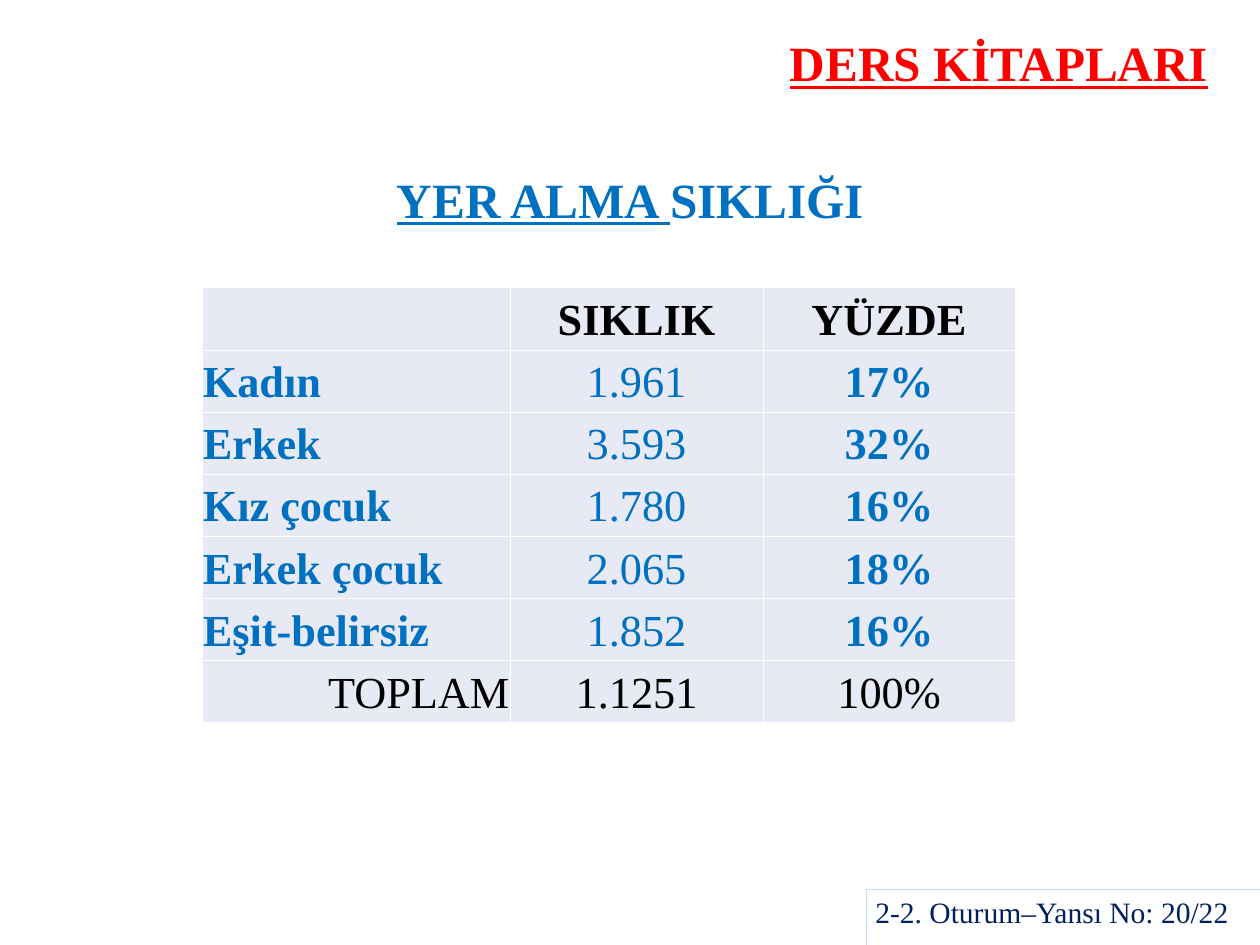
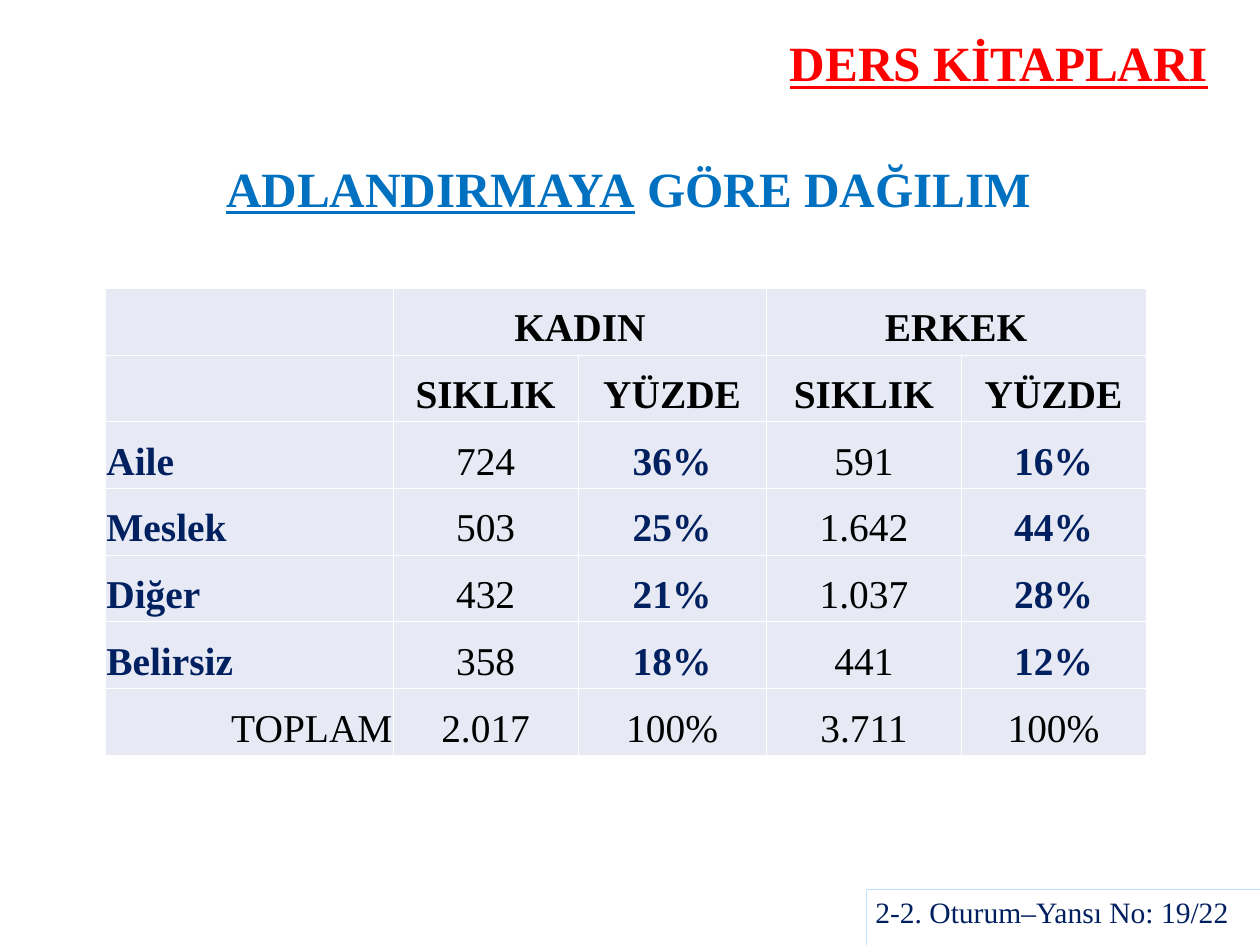
from dataclasses import dataclass

from lxml.etree import SubElement
from pptx import Presentation
from pptx.dml.color import RGBColor
from pptx.enum.shapes import MSO_SHAPE
from pptx.enum.text import MSO_ANCHOR, PP_ALIGN
from pptx.oxml.ns import qn
from pptx.util import Emu, Inches, Pt

# Shared look
WIDE, HIGH = Inches(14.22), Inches(10.66)
FONT = "Times New Roman"
RED, BLUE, NAVY, BLACK = "FF0000", "0070C0", "002060", "000000"
WHITE, PALE, SKY = "FFFFFF", "E7EAF4", "C1E1FE"
LEFT, MID, RIGHT = PP_ALIGN.LEFT, PP_ALIGN.CENTER, PP_ALIGN.RIGHT


@dataclass
class Box:
    """Place and size in percent of the slide."""
    x: float
    y: float
    w: float
    h: float

    def emu(self) -> tuple:
        return across(self.x), down(self.y), across(self.w), down(self.h)


@dataclass
class Grid:
    """Table with widths and row height in percent of the slide."""
    x: float
    y: float
    cols: list
    row: float
    size: int
    heads: int
    name: str
    count: str
    rows: list


@dataclass
class Page:
    line: str
    rest: str
    box: Box
    grid: Grid
    no: int


HEAD = Box(58.72, 2.35, 41.14, 8.44)
FOOT = Box(68.78, 94.09, 31.22, 8.44)

PAGES = [
    Page("YER ALMA ", "SIKLIĞI", Box(29.47, 16.79, 41.14, 8.44), Grid(
        16.03, 30.44, [24.47, 20.04, 20.04], 6.57, 36, 1, BLUE, BLUE, [
            ["", "SIKLIK", "YÜZDE"],
            ["Kadın", "1.961", "17%"],
            ["Erkek", "3.593", "32%"],
            ["Kız çocuk", "1.780", "16%"],
            ["Erkek çocuk", "2.065", "18%"],
            ["Eşit-belirsiz", "1.852", "16%"],
            ["TOPLAM", "1.1251", "100%"],
        ]), 20),
    Page("ADLANDIRMAYA", " GÖRE DAĞILIM", Box(17.09, 15.29, 65.61, 9.1), Grid(
        8.37, 30.49, [22.86, 14.63, 14.98, 15.47, 14.63], 7.06, 32, 2, NAVY, BLACK, [
            ["", "KADIN", None, "ERKEK", None],
            ["", "SIKLIK", "YÜZDE", "SIKLIK", "YÜZDE"],
            ["Aile", "724", "36%", "591", "16%"],
            ["Meslek", "503", "25%", "1.642", "44%"],
            ["Diğer", "432", "21%", "1.037", "28%"],
            ["Belirsiz", "358", "18%", "441", "12%"],
            ["TOPLAM", "2.017", "100%", "3.711", "100%"],
        ]), 19),
]


def across(part: float) -> Emu:
    return Emu(round(WIDE * part / 100))


def down(part: float) -> Emu:
    return Emu(round(HIGH * part / 100))


def paint(code: str) -> RGBColor:
    return RGBColor.from_string(code)


def write(frame, text: str, *, size: int, color: str, bold=False,
          line=False, align=MID) -> None:
    """Add a run to the first paragraph."""
    para = frame.paragraphs[0]
    para.alignment = align
    run = para.add_run()
    run.text = text
    font = run.font
    font.name, font.size, font.bold, font.underline = FONT, Pt(size), bold, line
    font.color.rgb = paint(color)


def title(slide, box: Box, line: str, color: str, rest="") -> None:
    """Bold heading: an underlined part, then a plain one."""
    frame = slide.shapes.add_textbox(*box.emu()).text_frame
    frame.word_wrap = True
    frame.vertical_anchor = MSO_ANCHOR.MIDDLE
    frame.margin_left = frame.margin_right = 0
    frame.margin_top = frame.margin_bottom = 0
    write(frame, line, size=40, color=color, bold=True, line=True)
    if rest:
        write(frame, rest, size=40, color=color, bold=True)


def footer(slide, no: int) -> None:
    shape = slide.shapes.add_shape(MSO_SHAPE.RECTANGLE, *FOOT.emu())
    shape.shadow.inherit = False
    shape.fill.background()
    shape.line.color.rgb = paint(SKY)
    shape.line.width = Pt(0.25)
    frame = shape.text_frame
    frame.word_wrap = True
    frame.vertical_anchor = MSO_ANCHOR.TOP
    write(frame, f"2-2. Oturum–Yansı No: {no}/22", size=24, color=NAVY, align=LEFT)


def dress(cell) -> None:
    """Set the borders, fill and margins of a cell."""
    props = cell._tc.get_or_add_tcPr()
    for side in ("lnL", "lnR", "lnT", "lnB"):
        edge = SubElement(props, qn(f"a:{side}"), w=str(Pt(0.45)))
        fill = SubElement(edge, qn("a:solidFill"))
        SubElement(fill, qn("a:srgbClr"), val=WHITE)
    cell.fill.solid()
    cell.fill.fore_color.rgb = paint(PALE)
    cell.margin_left = cell.margin_right = Inches(0.01)
    cell.margin_top = cell.margin_bottom = Inches(0.05)
    cell.vertical_anchor = MSO_ANCHOR.BOTTOM


def look(grid: Grid, r: int, c: int) -> dict:
    """Text format that follows from the place in the table."""
    if r < grid.heads:
        return dict(color=BLACK, bold=True)
    if r == len(grid.rows) - 1:
        return dict(color=BLACK, align=MID if c else RIGHT)
    if c % 2:
        return dict(color=grid.count)
    return dict(color=grid.name, bold=True, align=MID if c else LEFT)


def table(slide, grid: Grid) -> None:
    tall, wide = len(grid.rows), len(grid.cols)
    box = Box(grid.x, grid.y, sum(grid.cols), grid.row * tall)
    tab = slide.shapes.add_table(tall, wide, *box.emu()).table
    tab.first_row = tab.horz_banding = False
    for col, part in zip(tab.columns, grid.cols):
        col.width = across(part)
    for r, row in enumerate(grid.rows):
        tab.rows[r].height = down(grid.row)
        for c, text in enumerate(row):
            cell = tab.cell(r, c)
            dress(cell)
            if text is None:
                tab.cell(r, c - 1).merge(cell)
            elif text:
                write(cell.text_frame, text, size=grid.size, **look(grid, r, c))


def main() -> None:
    deck = Presentation()
    deck.slide_width, deck.slide_height = WIDE, HIGH
    for page in PAGES:
        slide = deck.slides.add_slide(deck.slide_layouts[6])
        title(slide, HEAD, "DERS KİTAPLARI", RED)
        title(slide, page.box, page.line, BLUE, page.rest)
        footer(slide, page.no)
        table(slide, page.grid)
    deck.save("out.pptx")


if __name__ == "__main__":
    main()
